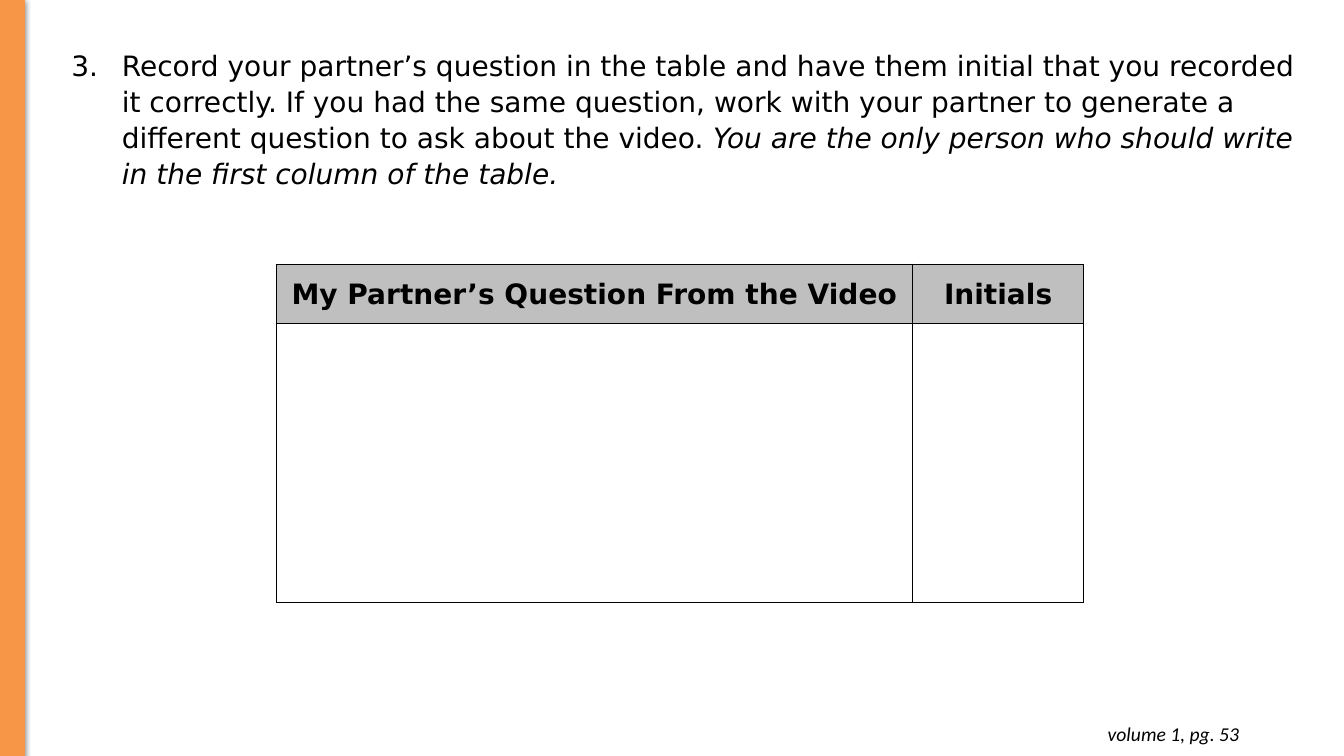
from lxml.etree import SubElement as Sub
from pptx import Presentation
from pptx.dml.color import RGBColor
from pptx.enum.shapes import MSO_SHAPE as Shape
from pptx.enum.text import MSO_ANCHOR as Anchor, MSO_AUTO_SIZE as Auto, PP_ALIGN as Align
from pptx.oxml import parse_xml
from pptx.oxml.ns import nsdecls, qn
from pptx.util import Pt

PX = 9144
FONT = "DejaVu Sans"
BLACK = "000000"


def color(code):
    return RGBColor.from_string(code)


def write(para, text, size=20, face=FONT, bold=False, italic=False):
    run = para.add_run()
    run.text = text
    font = run.font
    font.size, font.name, font.bold, font.italic = Pt(size), face, bold, italic
    font.color.rgb = color(BLACK)


deck = Presentation()
deck.slide_width, deck.slide_height = 1333 * PX, 750 * PX
slide = deck.slides.add_slide(deck.slide_layouts[6])
shapes = slide.shapes

foot = shapes.add_textbox(951 * PX, 706 * PX, 288 * PX, 44 * PX).text_frame
foot.word_wrap = True
foot.auto_size = Auto.SHAPE_TO_FIT_TEXT
foot.margin_left = foot.margin_right = foot.margin_top = foot.margin_bottom = 10 * PX
para = foot.paragraphs[0]
para.alignment = Align.RIGHT
write(para, "volume 1, pg. 53", 14, "Calibri", italic=True)

task = shapes.add_textbox(61 * PX, 41 * PX, 1239 * PX, 189 * PX).text_frame
task.word_wrap = True
task.auto_size = Auto.SHAPE_TO_FIT_TEXT
para = task.paragraphs[0]
props = para._p.get_or_add_pPr()
props.set("marL", str(50 * PX))
props.set("indent", str(-50 * PX))
Sub(Sub(props, qn("a:buClr")), qn("a:srgbClr"), val=BLACK)
Sub(props, qn("a:buFont"), typeface=FONT)
Sub(props, qn("a:buAutoNum"), type="arabicPeriod", startAt="3")
para.line_spacing = 1.07
write(para, "Record your partner’s question in the table and have them initial that you "
      "recorded it correctly. If you had the same question, work with your partner to "
      "generate a different question to ask about the video. ")
write(para, "You are the only person who should write in the first column of the table.",
      italic=True)

bar = shapes.add_shape(Shape.RECTANGLE, 0, -1 * PX, 24 * PX, 751 * PX)
bar.fill.solid()
bar.fill.fore_color.rgb = bar.line.color.rgb = color("F79647")
bar.line.width = Pt(0.75)
bar.shadow.inherit = False
glow = bar._element.spPr.find(qn("a:effectLst"))
shade = Sub(glow, qn("a:outerShdw"), blurRad=str(Pt(4.5)), dist=str(Pt(1.5)),
            dir="5400000", rotWithShape="0")
Sub(Sub(shade, qn("a:srgbClr"), val=BLACK), qn("a:alpha"), val="50000")

table = shapes.add_table(2, 2, 274 * PX, 262 * PX, 801 * PX, 336 * PX).table
table.first_row = table.horz_banding = False
for col, width in zip(table.columns, (631, 170)):
    col.width = width * PX
for row, height, fill in zip(table.rows, (59, 277), ("BFBFBF", "FFFFFF")):
    row.height = height * PX
    for cell in row.cells:
        cell.fill.solid()
        cell.fill.fore_color.rgb = color(fill)
        props = cell._tc.get_or_add_tcPr()
        for spot, side in enumerate("LRTB"):
            props.insert(spot, parse_xml(
                f'<a:ln{side} {nsdecls("a")} w="{Pt(1)}"><a:solidFill>'
                f'<a:srgbClr val="{BLACK}"/></a:solidFill></a:ln{side}>'))
for cell, title in zip(table.rows[0].cells,
                       ("My Partner’s Question From the Video", "Initials")):
    cell.vertical_anchor = Anchor.MIDDLE
    para = cell.text_frame.paragraphs[0]
    para.alignment = Align.CENTER
    para.line_spacing = 1.07
    para.space_after = Pt(8)
    write(para, title, bold=True)

deck.save("out.pptx")
